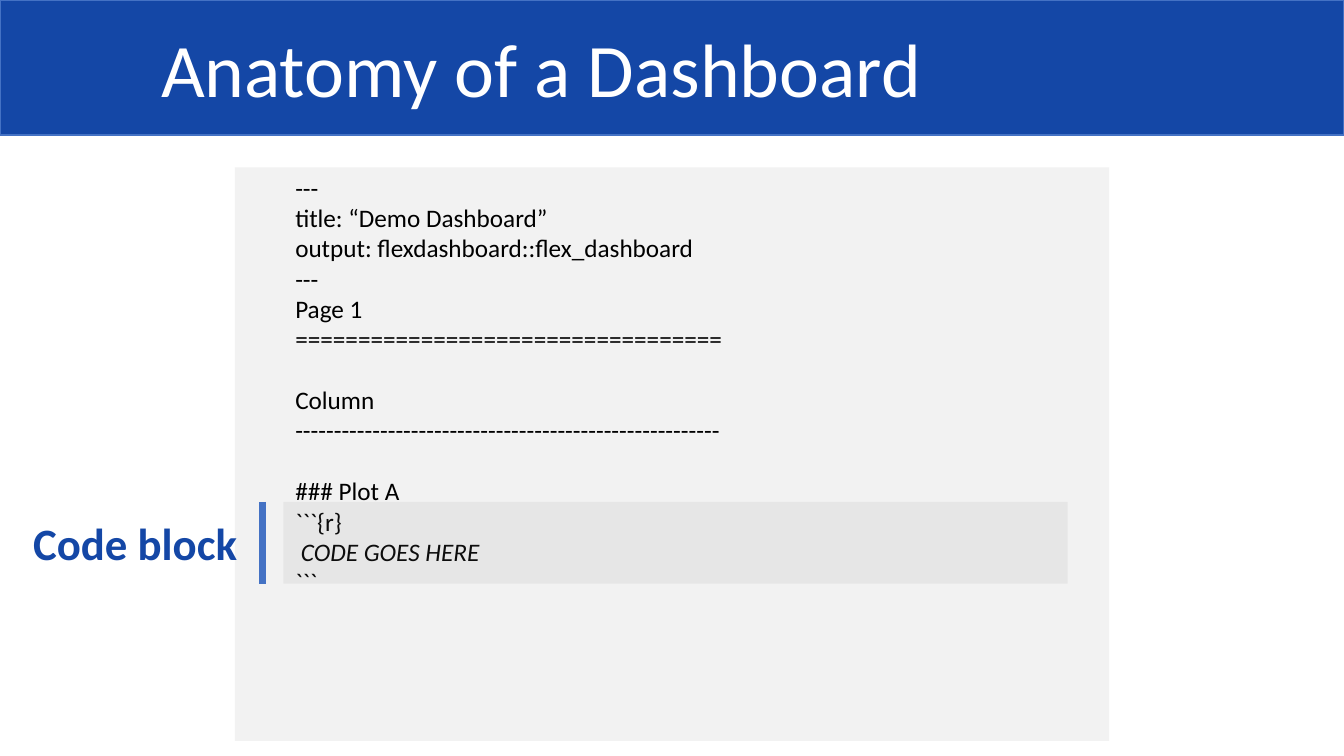
"""Build the "Anatomy of a Dashboard" slide."""
from dataclasses import dataclass

from lxml import etree
from pptx import Presentation
from pptx.dml.color import RGBColor
from pptx.enum.shapes import MSO_CONNECTOR, MSO_SHAPE
from pptx.enum.text import MSO_ANCHOR, PP_ALIGN
from pptx.oxml.ns import qn
from pptx.util import Inches, Pt

RECT, STRAIGHT = MSO_SHAPE.RECTANGLE, MSO_CONNECTOR.STRAIGHT
TOP, MIDDLE, LEFT = MSO_ANCHOR.TOP, MSO_ANCHOR.MIDDLE, PP_ALIGN.LEFT
WIDTH, HEIGHT = Inches(13.33), Inches(7.5)
CODE_SIZE, BLANK_LINE = 18, 22
COLORS = {"navy": "1447A6", "blue": "4472C4", "panel": "F2F2F2",
          "shade": "808080", "white": "FFFFFF", "black": "000000"}


@dataclass(frozen=True)
class Area:
    """A rectangle in percent of the slide's width and height."""
    x: float
    y: float
    w: float
    h: float

    def box(self) -> tuple[int, int, int, int]:
        """Return left, top, width and height in EMU."""
        return (round(self.x * WIDTH / 100), round(self.y * HEIGHT / 100),
                round(self.w * WIDTH / 100), round(self.h * HEIGHT / 100))


@dataclass(frozen=True)
class CodeLine:
    """One line of the source listing."""
    text: str
    gap: int = 0
    italic: str = ""


@dataclass(frozen=True)
class Panel:
    """A filled rectangle, optionally outlined or translucent."""
    area: Area
    fill: str
    line: str = ""
    alpha: int = 100


BANNER = Panel(Area(0, 0, 100, 17.87), "navy", line="blue")
LISTING = Panel(Area(17.48, 22.13, 65.04, 75.87), "panel")
BLOCK = Panel(Area(21.08, 66.4, 58.36, 10.8), "shade", alpha=10)
BAR = Area(19.5, BLOCK.area.y, 0, BLOCK.area.h)
LABEL = Area(1.73, 67.6, 19.5, 8.53)
CODE = [
    CodeLine("---"),
    CodeLine("title: “Demo Dashboard”"),
    CodeLine("output: flexdashboard::flex_dashboard"),
    CodeLine("---"),
    CodeLine("Page 1"),
    CodeLine("=" * 34),
    CodeLine("Column", gap=BLANK_LINE),
    CodeLine("-" * 55),
    CodeLine("### Plot A", gap=BLANK_LINE),
    CodeLine("```{r}"),
    CodeLine(" ", italic="CODE GOES HERE"),
    CodeLine("```"),
]


def rgb(name: str) -> RGBColor:
    """Look up a named colour."""
    return RGBColor.from_string(COLORS[name])


def add_panel(s, panel: Panel):
    """Draw a panel and return its shape."""
    sp = s.shapes.add_shape(RECT, *panel.area.box())
    sp.shadow.inherit = False
    sp.fill.solid()
    sp.fill.fore_color.rgb = rgb(panel.fill)
    if panel.alpha < 100:
        color = sp.fill._xPr.find(qn("a:solidFill"))[0]
        etree.SubElement(color, qn("a:alpha"), val=str(panel.alpha * 1000))
    if panel.line:
        sp.line.color.rgb = rgb(panel.line)
        sp.line.width = Pt(1)
    else:
        sp.line.fill.background()
    return sp


def add_bar(s, area: Area, color: str, width: float) -> None:
    """Draw a straight line across an area."""
    x, y, w, h = area.box()
    line = s.shapes.add_connector(STRAIGHT, x, y, x + w, y + h)
    line.line.color.rgb = rgb(color)
    line.line.width = Pt(width)
    etree.SubElement(line._element.spPr, qn("a:effectLst"))


def add_run(p, text: str, *, size: float, color: str,
            bold: bool = False, italic: bool = False) -> None:
    """Append formatted text to a paragraph."""
    r = p.add_run()
    r.text = text
    r.font.name, r.font.size = "Calibri", Pt(size)
    r.font.bold, r.font.italic = bold, italic
    r.font.color.rgb = rgb(color)


def prepare(sp, anchor, level: int = 0):
    """Set up a text frame and return its first paragraph."""
    tf = sp.text_frame
    tf.word_wrap = True
    tf.vertical_anchor = anchor
    return indent(tf.paragraphs[0], level)


def indent(p, level: int):
    """Left-align a paragraph at half an inch per level."""
    p.alignment, p.level = LEFT, level
    p._p.get_or_add_pPr().set("marL", str(Inches(0.5 * level)))
    return p


def add_code(sp, lines: list[CodeLine]) -> None:
    """Write the listing into a shape."""
    p = prepare(sp, TOP, level=1)
    for i, line in enumerate(lines):
        if i:
            p = indent(sp.text_frame.add_paragraph(), 1)
        if line.gap:
            p.space_before = Pt(line.gap)
        add_run(p, line.text, size=CODE_SIZE, color="black")
        if line.italic:
            add_run(p, line.italic, size=CODE_SIZE, color="black", italic=True)


def main() -> None:
    """Build and save the slide."""
    prs = Presentation()
    prs.slide_width, prs.slide_height = WIDTH, HEIGHT
    s = prs.slides.add_slide(prs.slide_layouts[6])
    title = prepare(add_panel(s, BANNER), MIDDLE, level=3)
    add_run(title, "Anatomy of a Dashboard", size=54, color="white")
    add_code(add_panel(s, LISTING), CODE)
    add_panel(s, BLOCK)
    add_bar(s, BAR, "blue", 5)
    label = prepare(s.shapes.add_textbox(*LABEL.box()), TOP)
    add_run(label, "Code block", size=32, color="navy", bold=True)
    prs.save("out.pptx")


if __name__ == "__main__":
    main()
